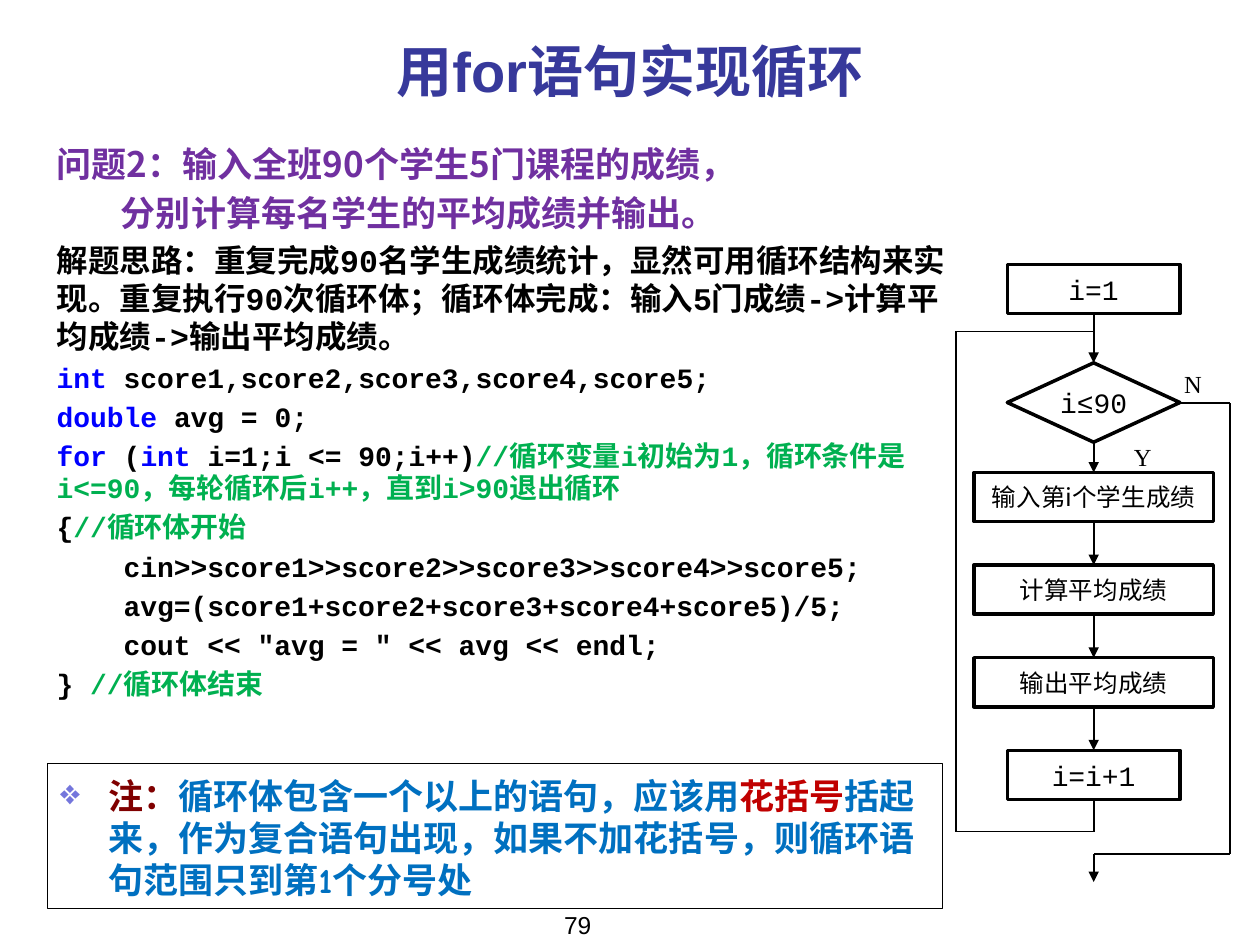
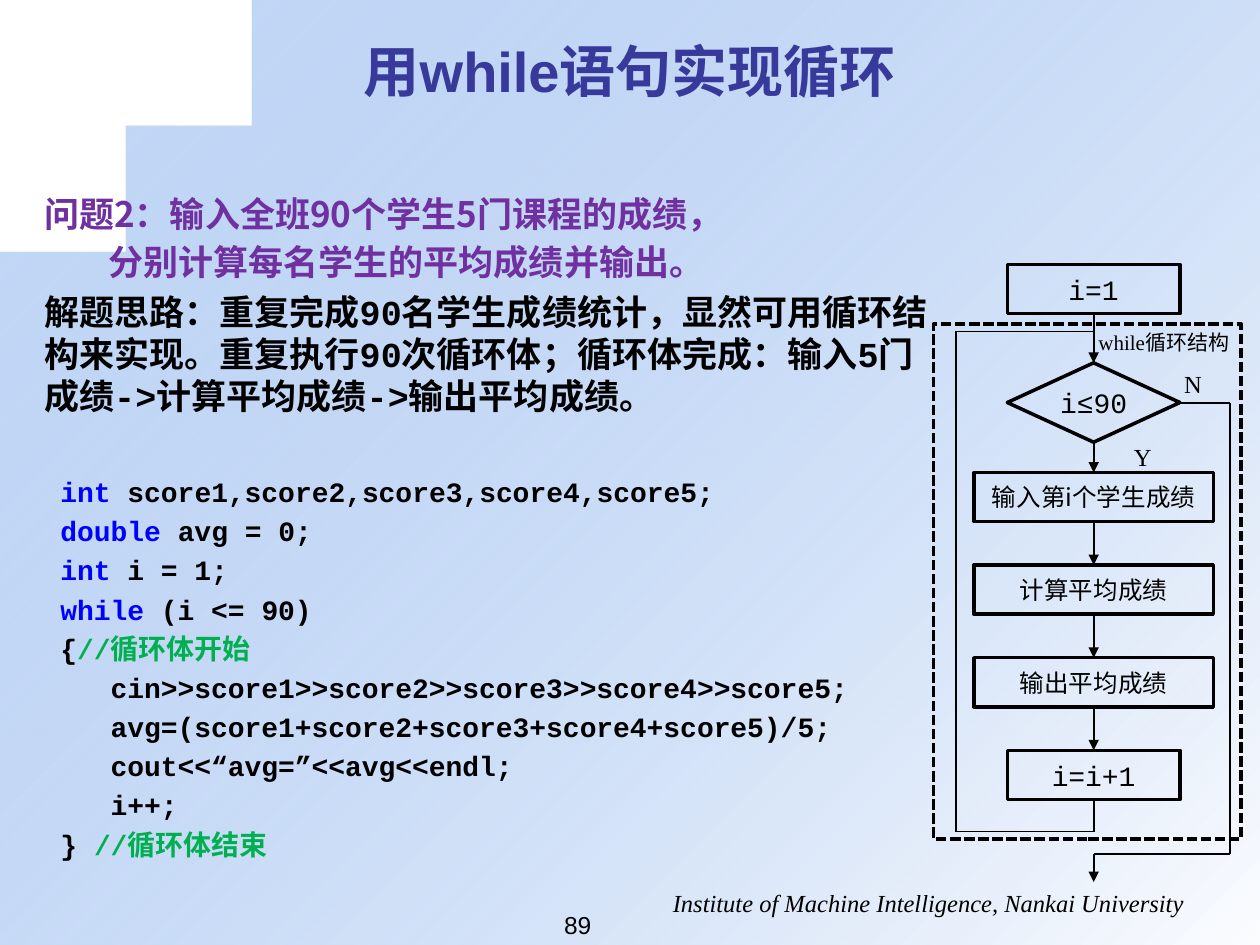
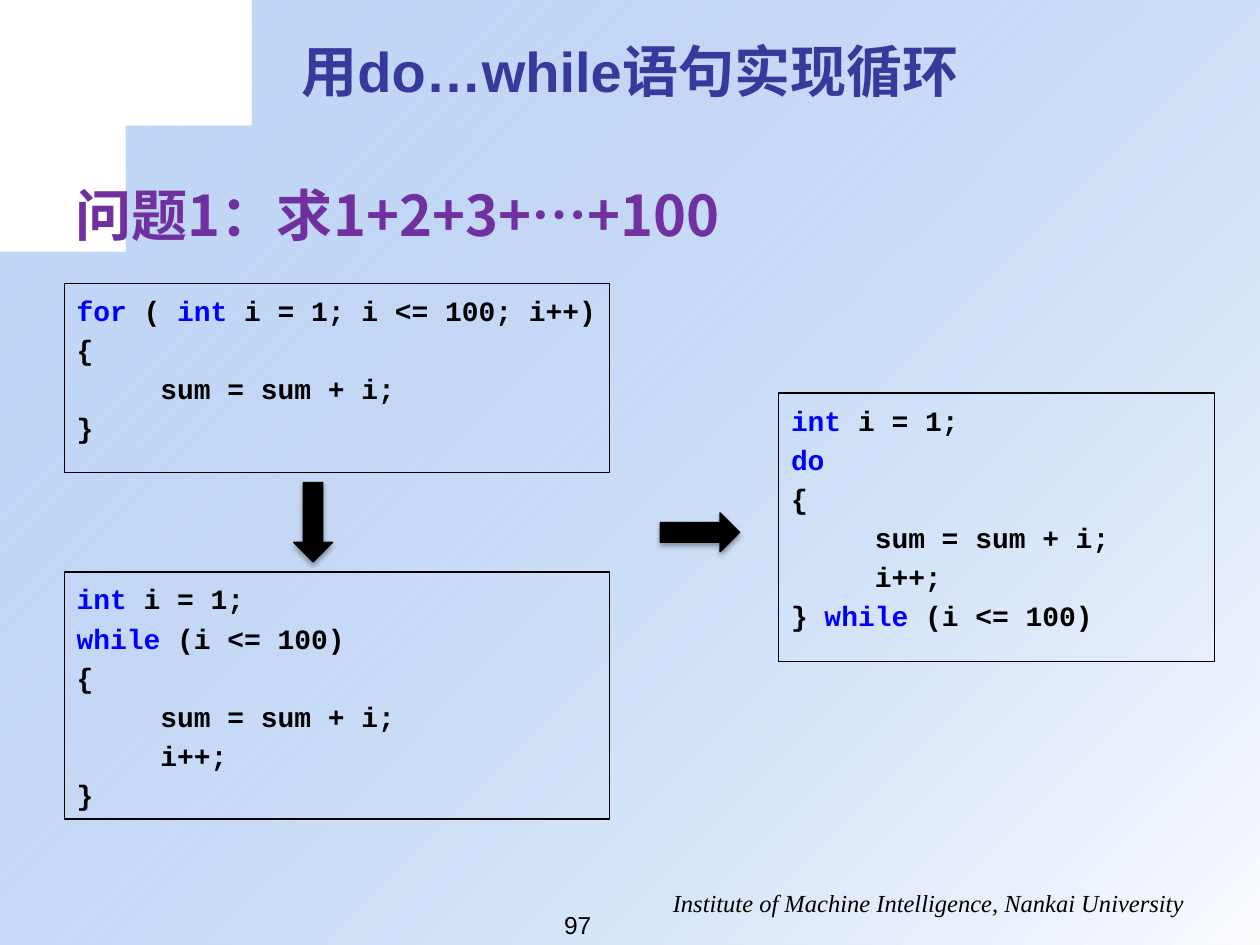
from itertools import pairwise

from pptx import Presentation
from pptx import util as u
from pptx.dml.color import RGBColor
from pptx.enum import dml, shapes, text
from pptx.oxml.ns import qn
from lxml import etree

WIDTH, HEIGHT = 10, 7.5
COLOURS = {
    "black": "000000", "white": "FFFFFF", "title": "37399B", "problem": "7030A0",
    "keyword": "0000FF", "comment": "00B050", "note": "0070C0", "maroon": "800000",
    "red": "C00000", "bullet": "7476DC", "sky": "699DE9",
}
HAN, HAN_BOX, MONO, SERIF = "Noto Sans CJK SC", "Noto Sans CJK JP", "Courier New", "Times New Roman"

# Paragraph styles: sizes, line heights and gaps in points, indents in inches.
# "accents" colour the parts of a text that stand between ~ marks.
BASE = {"font": MONO, "size": 16, "colour": "black", "bold": True, "italic": False,
        "line": None, "before": 0, "left": 0, "first": 0, "align": "LEFT",
        "accents": ["keyword"], "bullet": None}
PLAIN = BASE | {"bold": False}
PROBLEM = BASE | {"font": HAN, "size": 20, "colour": "problem", "line": 23.6, "before": 4.2}
CODE = BASE | {"line": 18.4, "before": 4}
STYLES = {
    "title": BASE | {"font": "Arial", "size": 32, "colour": "title", "align": "CENTER"},
    "page": PLAIN | {"font": "Arial", "size": 14, "align": "CENTER"},
    "footer": PLAIN | {"font": SERIF, "size": 14, "italic": True, "align": "RIGHT"},
    "problem": PROBLEM,
    "problem more": PROBLEM | {"left": 0.51},
    "problem big": PROBLEM | {"size": 32, "line": 37.4},
    "idea": BASE | {"size": 18, "line": 21.6, "before": 4.3},
    "idea big": BASE | {"size": 20, "line": 24, "before": 4.3},
    "code": CODE,
    "code first": CODE | {"left": 0.13, "before": 34},
    "code inset": CODE | {"left": 0.13},
    "note": BASE | {"font": "Comic Neue", "size": 20, "colour": "note", "line": 24,
                    "left": 0.38, "first": -0.38, "accents": ["maroon", "red"], "bullet": "❖"},
    "step code": PLAIN | {"align": "CENTER"},
    "step": PLAIN | {"font": HAN_BOX, "size": 14, "align": "CENTER"},
    "branch": PLAIN | {"font": SERIF, "size": 14},
    "frame label": PLAIN | {"font": SERIF, "size": 12},
}

# Content
FOOTER = "Institute of Machine Intelligence, Nankai University"
TASK = [("problem", "问题2：输入全班90个学生5门课程的成绩，"),
        ("problem more", "分别计算每名学生的平均成绩并输出。")]
IDEA = ("解题思路：重复完成90名学生成绩统计，显然可用循环结构来实现。重复执行90次循环体；"
        "循环体完成：输入5门成绩->计算平均成绩->输出平均成绩。")
FOR_CODE = [
    "~int~ score1,score2,score3,score4,score5;",
    "~double ~avg = 0;",
    "~for~ (~int ~i=1;i <= 90;i++)//循环变量i初始为1，循环条件是i<=90，每轮循环后i++，直到i>90退出循环",
    "{//循环体开始",
    "    cin>>score1>>score2>>score3>>score4>>score5;",
    "    avg=(score1+score2+score3+score4+score5)/5;",
    '    cout << "avg = " << avg << endl;',
    "} //循环体结束",
]
WHILE_CODE = [
    "~int~ score1,score2,score3,score4,score5;",
    "~double ~avg = 0;",
    "~int ~i = 1;",
    "~while~ (i <= 90)",
    "{//循环体开始",
    "   cin>>score1>>score2>>score3>>score4>>score5;",
    "   avg=(score1+score2+score3+score4+score5)/5;",
    "   cout<<“avg=”<<avg<<endl;",
    "   i++;",
    "} //循环体结束",
]
NOTE = ("~注：~循环体包含一个以上的语句，应该用~花括号~括起来，作为复合语句出现，"
        "如果不加花括号，则循环语句范围只到第1个分号处")
SUM_LOOPS = [
    ((0.51, 2.25, 4.33, 1.5),
     ["~for~ ( ~int ~i = 1; i <= 100; i++)", "{", "     sum = sum + i;", "}"]),
    ((0.51, 4.54, 4.33, 1.96),
     ["~int ~i = 1;", "~while~ (i <= 100)", "{", "     sum = sum + i;", "     i++;", "}"]),
    ((6.18, 3.12, 3.46, 2.13),
     ["~int ~i = 1;", "~do~", "{", "     sum = sum + i;", "     i++;", "}~ while~ (i <= 100)"]),
]
LOOP_ARROWS = [((2.33, 3.83, 0.31, 0.63), 0), ((5.4, 3.91, 0.31, 0.63), 270)]

# Flowchart: one column of steps, with the loop body at equal gaps
AXIS, STEP_HEIGHT, NARROW, WIDE = 8.68, 0.39, 1.37, 1.9
BODY_TOP, BODY_PITCH = 3.75, 0.735
BODY_STEPS = [("step", "输入第i个学生成绩", WIDE), ("step", "计算平均成绩", WIDE),
              ("step", "输出平均成绩", WIDE), ("step code", "i=i+1", NARROW)]
STEPS = [("step code", "i=1", NARROW, 2.1, STEP_HEIGHT, "RECTANGLE"),
         ("step code", "i≤90", NARROW, 2.88, 0.63, "FLOWCHART_DECISION")]
STEPS += [(style, words, width, BODY_TOP + row * BODY_PITCH, STEP_HEIGHT, "RECTANGLE")
          for row, (style, words, width) in enumerate(BODY_STEPS)]
BACK_X, EXIT_X = 7.59, 9.76
BACK_ROUTE = [(AXIS, 6.35), (AXIS, 6.6), (BACK_X, 6.6), (BACK_X, 2.63), (AXIS, 2.63)]
EXIT_ROUTE = [(9.37, 3.2), (EXIT_X, 3.2), (EXIT_X, 6.78), (AXIS, 6.78), (AXIS, 7)]
BRANCHES = [("Y", (8.9, 3.46, 0.34, 0.34)), ("N", (9.3, 2.88, 0.34, 0.34))]


def inches(*lengths):
    return [u.Inches(length) for length in lengths]


def rgb(name):
    return RGBColor.from_string(COLOURS[name])


def sub(parent, tag, **attributes):
    return etree.SubElement(parent, qn(tag), attributes)


def split_runs(words, style):
    """Give (colour, text) pairs: ~accents~ first, then a // comment."""
    code, slashes, comment = words.partition("//")
    for index, part in enumerate(code.split("~")):
        accent = style["accents"][index // 2 % len(style["accents"])]
        if part:
            yield (accent if index % 2 else style["colour"]), part
    if slashes:
        yield "comment", slashes + comment


def write(frame, paragraphs, margins=(0.1, 0.05), anchor="TOP", wrap=True):
    side, top = inches(*margins)
    settings = {"word_wrap": wrap, "auto_size": text.MSO_AUTO_SIZE.NONE,
                "vertical_anchor": text.MSO_ANCHOR[anchor],
                "margin_left": side, "margin_right": side,
                "margin_top": top, "margin_bottom": u.Inches(0.05)}
    for name, value in settings.items():
        setattr(frame, name, value)
    for index, (style_name, words) in enumerate(paragraphs):
        style = STYLES[style_name]
        paragraph = frame.paragraphs[0] if index == 0 else frame.add_paragraph()
        properties = paragraph._p.get_or_add_pPr()
        properties.set("marL", str(u.Inches(style["left"])))
        properties.set("indent", str(u.Inches(style["first"])))
        if style["bullet"]:
            sub(sub(properties, "a:buClr"), "a:srgbClr", val=COLOURS["bullet"])
            sub(properties, "a:buChar", char=style["bullet"])
        else:
            sub(properties, "a:buNone")
        paragraph.alignment = text.PP_ALIGN[style["align"]]
        paragraph.space_before = u.Pt(style["before"] if index else 0)
        if style["line"]:
            paragraph.line_spacing = u.Pt(style["line"])
        for colour, part in split_runs(words, style):
            run = paragraph.add_run()
            run.text = part
            values = {"name": style["font"], "size": u.Pt(style["size"]),
                      "bold": style["bold"], "italic": style["italic"]}
            for name, value in values.items():
                setattr(run.font, name, value)
            run.font.color.rgb = rgb(colour)
            east_asian = style["font"] if style["font"] == HAN_BOX else HAN
            sub(run.font._element, "a:ea", typeface=east_asian)


def add_label(parent, place, style, words, wrap=True):
    write(parent.shapes.add_textbox(*inches(*place)).text_frame, [(style, words)], wrap=wrap)


def add_outline(parent, place, kind="RECTANGLE", weight=0.75):
    shape = parent.shapes.add_shape(shapes.MSO_SHAPE[kind], *inches(*place))
    shape.shadow.inherit = False
    shape.fill.background()
    shape.line.color.rgb = rgb("black")
    shape.line.width = u.Pt(weight)
    return shape


def add_route(parent, points, arrow=True):
    """Join the points with straight lines; the last one may carry an arrowhead."""
    for start, end in pairwise(points):
        connector = parent.shapes.add_connector(
            shapes.MSO_CONNECTOR.STRAIGHT, *inches(*start, *end))
        connector.line.color.rgb = rgb("black")
        connector.line.width = u.Pt(1)
        sub(connector._element.spPr, "a:effectLst")
        if arrow and end == points[-1]:
            sub(connector.line._get_or_add_ln(), "a:tailEnd", type="triangle")


def bezier(start, first, second, end, steps=24):
    for step in range(1, steps + 1):
        t = step / steps
        weights = ((1 - t) ** 3, 3 * t * (1 - t) ** 2, 3 * t * t * (1 - t), t ** 3)
        yield tuple(sum(weight * point[axis] for weight, point
                        in zip(weights, (start, first, second, end))) for axis in (0, 1))


def add_backdrop(slide):
    top, bend, side = (2.58, 0), (0.98, 1.07), (0, 3.01)
    points = [*bezier(top, (1.9, 0.16), (1.16, 0.83), bend),
              *bezier(bend, (0.8, 1.32), (0.16, 1.94), side),
              (0, HEIGHT), (WIDTH, HEIGHT), (WIDTH, 0)]
    builder = slide.shapes.build_freeform(*top, scale=u.Inches(1))
    builder.add_line_segments(points, close=True)
    shape = builder.convert_to_shape()
    shape.shadow.inherit = False
    shape.line.fill.background()
    shape.fill.gradient()
    shape.fill.gradient_angle = 315
    for stop, colour, position in zip(shape.fill.gradient_stops, ("sky", "white"), (0, 1)):
        stop.color.rgb = rgb(colour)
        stop.position = position
    sky = shape._element.spPr.find(".//" + qn("a:srgbClr"))
    sub(sky, "a:alpha", val="39000")
    slide.shapes._spTree.insert(2, shape._element)
    add_label(slide, (4.83, 7, 4.67, 0.34), "footer", FOOTER)


def add_slide(presentation, title, page, body_place, body, backdrop=True):
    slide = presentation.slides.add_slide(presentation.slide_layouts[1])
    if backdrop:
        add_backdrop(slide)
    title_shape, body_shape = slide.placeholders
    for shape, place in ((title_shape, (0.5, 0.25, 9, 0.62)), (body_shape, body_place)):
        shape.left, shape.top, shape.width, shape.height = inches(*place)
    write(title_shape.text_frame, [("title", title)], anchor="MIDDLE")
    write(body_shape.text_frame, body, margins=(0.1, 0.09))
    add_label(slide, (3.42, 7.17, 2.33, 0.26), "page", page)
    return slide


def add_flowchart(slide):
    group = slide.shapes.add_group_shape()
    for style, words, width, top, height, kind in STEPS:
        shape = add_outline(group, (AXIS - width / 2, top, width, height), kind, weight=2)
        side = 0 if kind == "FLOWCHART_DECISION" else 0.04
        write(shape.text_frame, [(style, words)], margins=(side, 0.05), anchor="MIDDLE")
    for upper, lower in pairwise(STEPS):
        add_route(group, [(AXIS, upper[3] + upper[4]), (AXIS, lower[3])])
    add_route(group, BACK_ROUTE, arrow=False)
    add_route(group, EXIT_ROUTE)
    for words, place in BRANCHES:
        add_label(group, place, "branch", words, wrap=False)


def main():
    presentation = Presentation()
    presentation.slide_width, presentation.slide_height = inches(WIDTH, HEIGHT)

    # for loop
    body = [*TASK, ("idea", IDEA), *(("code", line) for line in FOR_CODE)]
    slide = add_slide(presentation, "用for语句实现循环", "79",
                      (0.35, 1.05, 7.32, 4.93), body, backdrop=False)
    add_flowchart(slide)
    note = add_outline(slide, (0.38, 6.06, 7.1, 1.15))
    write(note.text_frame, [("note", NOTE)], margins=(0.1, 0.09))

    # while loop
    body = [*TASK, ("idea big", IDEA), ("code first", WHILE_CODE[0]),
            *(("code inset", line) for line in WHILE_CODE[1:])]
    slide = add_slide(presentation, "用while语句实现循环", "89", (0.25, 1.44, 7.35, 5.31), body)
    add_flowchart(slide)
    loop_frame = add_outline(slide, (7.41, 2.57, 2.44, 4.09), weight=2)
    loop_frame.line.dash_style = dml.MSO_LINE.SQUARE_DOT
    add_label(slide, (8.62, 2.57, 1.4, 0.3), "frame label", "while循环结构")

    # do…while loop
    slide = add_slide(presentation, "用do…while语句实现循环", "97", (0.5, 1.36, 9, 0.66),
                      [("problem big", "问题1：求1+2+3+…+100")])
    for place, lines in SUM_LOOPS:
        box = add_outline(slide, place)
        write(box.text_frame, [("code", line) for line in lines], margins=(0.1, 0.09))
    for place, turn in LOOP_ARROWS:
        arrow = slide.shapes.add_shape(shapes.MSO_SHAPE.DOWN_ARROW, *inches(*place))
        arrow.rotation = turn
        arrow.fill.solid()
        arrow.fill.fore_color.rgb = rgb("black")
        arrow.line.color.rgb = rgb("black")
        arrow.line.width = u.Pt(0.75)

    presentation.save("out.pptx")


if __name__ == "__main__":
    main()
